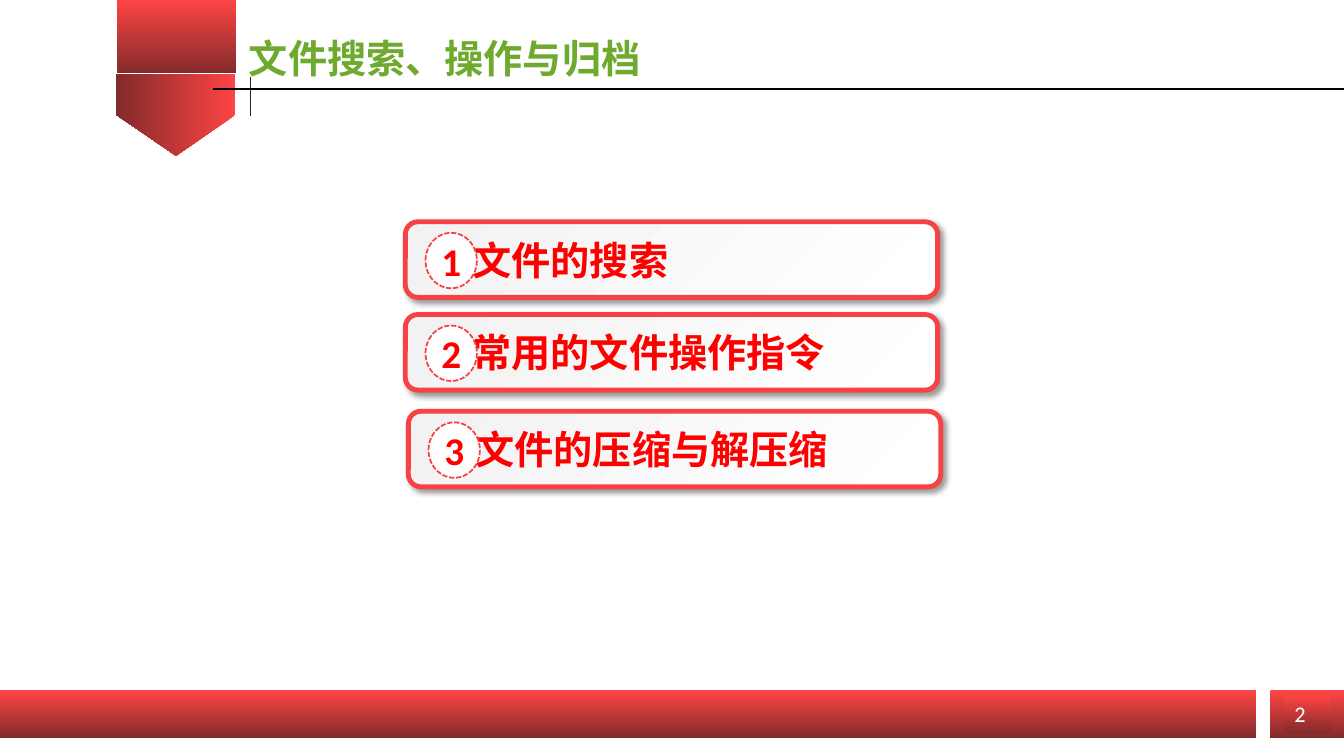
from dataclasses import dataclass

from lxml.etree import SubElement
from pptx import Presentation
from pptx.dml.color import RGBColor
from pptx.enum.dml import MSO_LINE
from pptx.enum.shapes import MSO_CONNECTOR, MSO_SHAPE
from pptx.enum.text import MSO_ANCHOR, PP_ALIGN
from pptx.oxml.ns import qn
from pptx.util import Inches, Pt

RED = RGBColor(0xFE, 0x44, 0x44)
DARK_RED = RGBColor(0x83, 0x2B, 0x2B)
OUTLINE_RED = RGBColor(0xF6, 0x42, 0x42)
TEXT_RED = RGBColor(0xFF, 0x00, 0x00)
GREEN = RGBColor(0x6E, 0xAA, 0x2E)
PALE_GREY = RGBColor(0xF2, 0xF2, 0xF2)
CHARCOAL = RGBColor(0x26, 0x26, 0x26)
BLACK = RGBColor(0x00, 0x00, 0x00)
WHITE = RGBColor(0xFF, 0xFF, 0xFF)
CHINESE_FONT = "Noto Sans CJK SC"
LATIN_FONT = "Calibri"


@dataclass(frozen=True)
class Band:
    left: float
    top: float
    width: float
    height: float
    preset: MSO_SHAPE = MSO_SHAPE.RECTANGLE
    rotation: float = 0


@dataclass(frozen=True)
class Topic:
    left: float
    top: float
    heading: str


def add_preset(shapes, preset, left, top, width, height):
    shape = shapes.add_shape(preset, Inches(left), Inches(top), Inches(width), Inches(height))
    shape.shadow.inherit = False
    return shape


def fill_gradient(shape, start: RGBColor, end: RGBColor, angle: float) -> None:
    shape.fill.gradient()
    shape.fill.gradient_angle = angle
    for stop, color in zip(shape.fill.gradient_stops, (start, end)):
        stop.color.rgb = color


def set_outline(shape, color: RGBColor, width: float) -> None:
    shape.line.color.rgb = color
    shape.line.width = Pt(width)


def write(shape, text: str, *, color: RGBColor, font: str = CHINESE_FONT, size: int = 28,
          bold: bool = True, align=PP_ALIGN.LEFT, anchor=MSO_ANCHOR.MIDDLE,
          wrap: bool = True, side_margin: float = 0.1, left_margin: float | None = None) -> None:
    frame = shape.text_frame
    frame.word_wrap = wrap
    frame.vertical_anchor = anchor
    frame.margin_left = Inches(side_margin if left_margin is None else left_margin)
    frame.margin_right = Inches(side_margin)
    paragraph = frame.paragraphs[0]
    paragraph.alignment = align
    run = paragraph.add_run()
    run.text = text
    run.font.name = font
    run.font.size = Pt(size)
    run.font.bold = bold
    run.font.color.rgb = color
    SubElement(run.font._element, qn("a:ea"), typeface=font)


def add_rule(shapes, x1: float, y1: float, x2: float, y2: float,
             color: RGBColor, width: float) -> None:
    rule = shapes.add_connector(MSO_CONNECTOR.STRAIGHT, Inches(x1), Inches(y1),
                                Inches(x2), Inches(y2))
    set_outline(rule, color, width)
    SubElement(rule._element.spPr, qn("a:effectLst"))


def add_band(shapes, band: Band):
    shape = add_preset(shapes, band.preset, band.left, band.top, band.width, band.height)
    shape.rotation = band.rotation
    fill_gradient(shape, RED, DARK_RED, 270)
    shape.line.fill.background()
    return shape


def add_drop_shadow(shape) -> None:
    effects = shape._element.spPr.find(qn("a:effectLst"))
    shadow = SubElement(effects, qn("a:outerShdw"), blurRad=str(Pt(4)), dist=str(Pt(3)),
                        dir="2700000", algn="tl", rotWithShape="0")
    color = SubElement(shadow, qn("a:srgbClr"), val=str(BLACK))
    SubElement(color, qn("a:alpha"), val="40000")


def add_topic(shapes, number: int, topic: Topic) -> None:
    group = shapes.add_group_shape().shapes
    card = add_preset(group, MSO_SHAPE.ROUNDED_RECTANGLE, topic.left, topic.top, 5.28, 0.75)
    fill_gradient(card, PALE_GREY, WHITE, 315)
    set_outline(card, OUTLINE_RED, 3.5)
    add_drop_shadow(card)
    write(card, topic.heading, color=TEXT_RED, left_margin=0.63)

    badge = add_preset(group, MSO_SHAPE.OVAL, topic.left + 0.2, topic.top + 0.11, 0.51, 0.55)
    badge.fill.solid()
    badge.fill.fore_color.rgb = WHITE
    set_outline(badge, OUTLINE_RED, 1.25)
    badge.line.dash_style = MSO_LINE.SQUARE_DOT
    write(badge, str(number), color=TEXT_RED, font=LATIN_FONT, align=PP_ALIGN.CENTER,
          wrap=False, side_margin=0)


presentation = Presentation()
presentation.slide_width = Inches(13.33)
presentation.slide_height = Inches(7.5)
slide = presentation.slides.add_slide(presentation.slide_layouts[6])
shapes = slide.shapes

# Ribbon and footer bands
for band in (
    Band(1.34, 0.55, 0.81, 1.18, MSO_SHAPE.PENTAGON, 90),
    Band(1.16, 0, 1.18, 0.73),
    Band(0, 6.85, 12.46, 0.47),
    Band(12.6, 6.85, 0.74, 0.47),
):
    add_band(shapes, band)

# Page number
page_number = add_band(shapes, Band(12.74, 6.9, 0.46, 0.37))
write(page_number, "2", color=WHITE, font=LATIN_FONT, size=16, bold=False,
      anchor=MSO_ANCHOR.TOP)

# Title and its rules
add_rule(shapes, 2.48, 0.76, 2.48, 1.15, CHARCOAL, 0.75)
add_rule(shapes, 2.11, 0.88, 13.33, 0.88, BLACK, 1.25)
title = shapes.add_textbox(Inches(2.37), Inches(0.29), Inches(4.35), Inches(0.57))
write(title, "文件搜索、操作与归档", color=GREEN, anchor=MSO_ANCHOR.TOP)

# Numbered topics
topics = (
    Topic(4.02, 2.2, "文件的搜索"),
    Topic(4.02, 3.12, "常用的文件操作指令"),
    Topic(4.05, 4.08, "文件的压缩与解压缩"),
)
for number, topic in enumerate(topics, start=1):
    add_topic(shapes, number, topic)

presentation.save("out.pptx")
